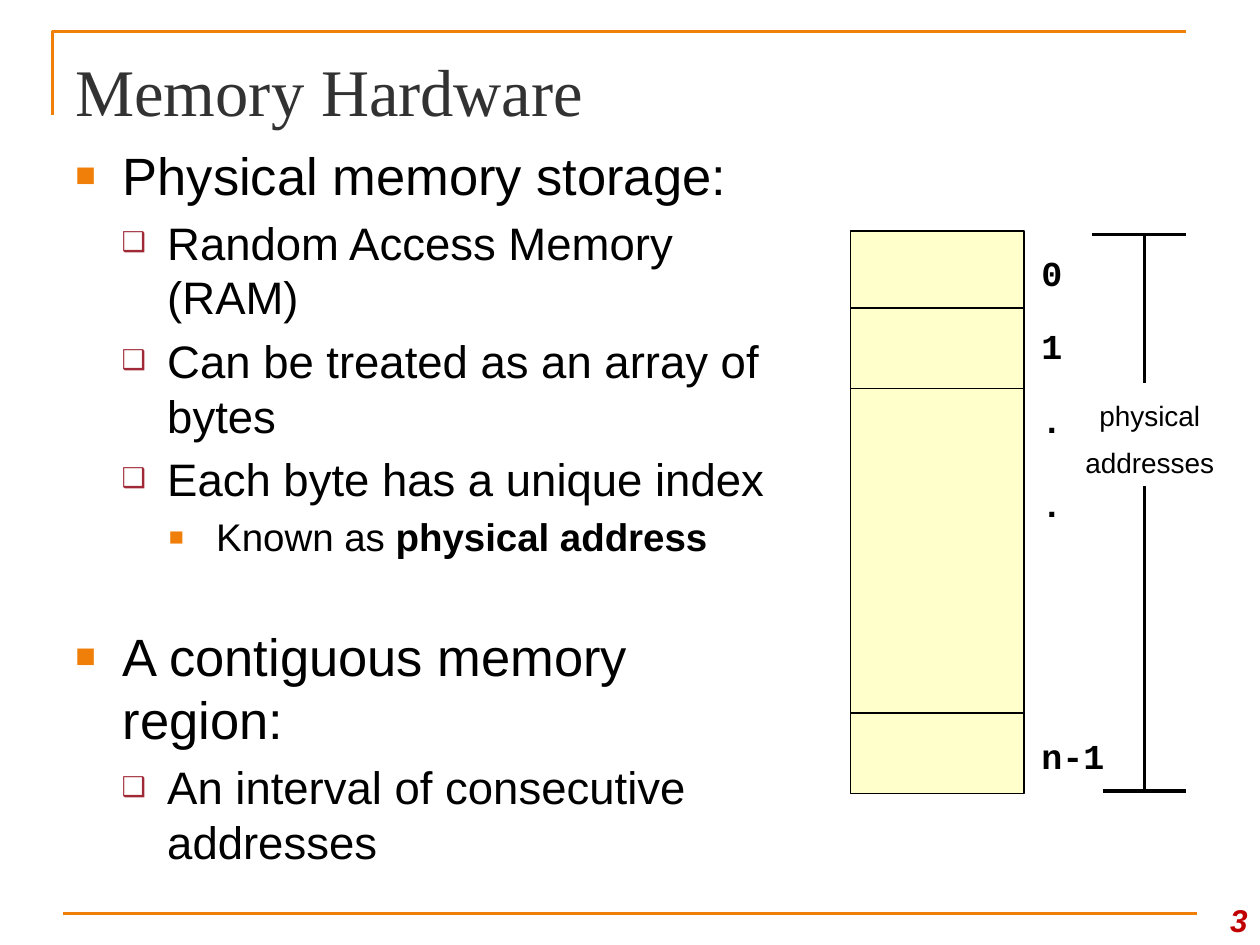
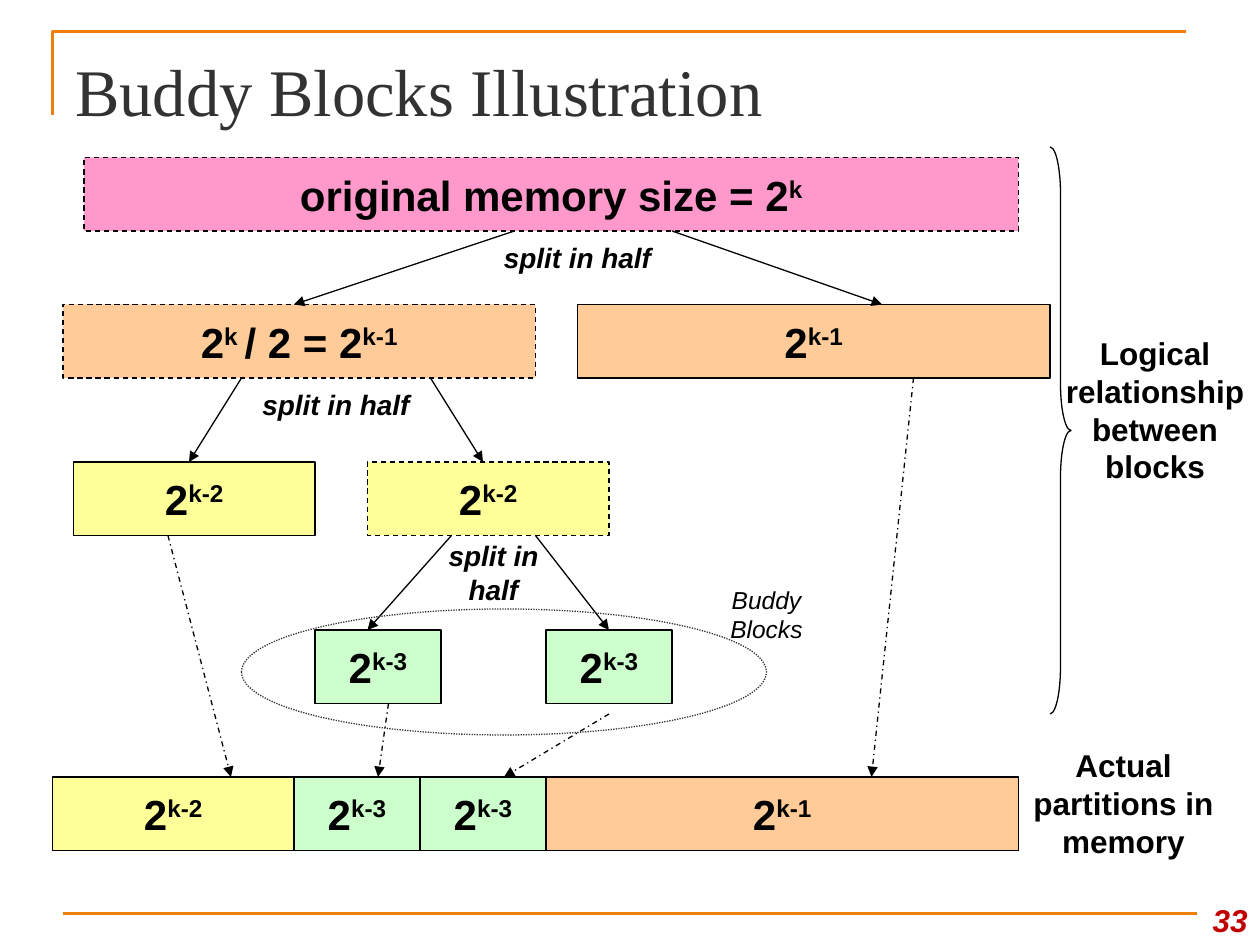
from lxml.etree import SubElement
from pptx import Presentation
from pptx.dml.color import RGBColor
from pptx.enum.dml import MSO_LINE
from pptx.enum.shapes import MSO_CONNECTOR, MSO_SHAPE
from pptx.enum.text import MSO_ANCHOR, PP_ALIGN
from pptx.oxml.ns import qn
from pptx.util import Pt

BLACK, GREY, ORANGE, RED, WINE = "000000", "323232", "F07F09", "C00000", "9F2936"
PINK, PEACH, YELLOW, GREEN, CREAM = "FF99CC", "FFCC99", "FFFF99", "CCFFCC", "FFFFCC"
SUP, BOLD = {"baseline": "30000"}, {"b": "1"}
MID = {"vertical_anchor": MSO_ANCHOR.MIDDLE}
END = {"vertical_anchor": MSO_ANCHOR.BOTTOM}
TITLE = {"name": "Times New Roman", "size": Pt(38)}
NUMBER = {"name": "Arial", "size": Pt(18), "bold": True, "italic": True}
CODE = {"name": "Courier New", "size": Pt(20), "bold": True}
PLAIN = {"name": "Arial", "size": Pt(16)}
BLOCK = {"name": "Arial", "size": Pt(24), "bold": True}
SIDE = {"name": "Arial", "size": Pt(18), "bold": True}
SPLIT = {"name": "Arial", "size": Pt(16), "bold": True, "italic": True}
BUDDY = {"name": "Arial", "size": Pt(14), "italic": True}

# per level: text size, left margin, hang, bullet, bullet colour, bullet percent
LEVELS = [
    (30, 27, 27, "■", ORANGE, 65),
    (26, 52.5, 26, "❑", WINE, 60),
    (22, 80.5, 27, "■", ORANGE, 65),
]


def tint(code):
    return RGBColor.from_string(code)


def put(item, vals):
    for key, val in vals.items():
        setattr(item, key, val)


def pts(*nums):
    return [Pt(n) for n in nums]


def write(para, words, look, color=BLACK, odd=SUP):
    """Add runs; every second piece between ^ marks takes the odd attributes."""
    for i, piece in enumerate(words.split("^")):
        run = para.add_run()
        run.text = piece
        put(run.font, look)
        run.font.color.rgb = tint(color)
        if i % 2:
            for key, val in odd.items():
                run._r.get_or_add_rPr().set(key, val)


def label(slide, box, words, look, color=BLACK, align=PP_ALIGN.CENTER, frame=MID, gap=0):
    text = slide.shapes.add_textbox(*pts(*box)).text_frame
    put(text, {"word_wrap": True, **frame})
    for i, line in enumerate(words.split("\n")):
        para = text.add_paragraph() if i else text.paragraphs[0]
        para.alignment = align
        if i:
            para.space_before = Pt(gap)
        write(para, line, look, color)


def stroke(item, color, width, dash=None):
    item.line.color.rgb = tint(color)
    put(item.line, {"width": Pt(width), "dash_style": dash})


def form(slide, kind, box, fill=None, color=BLACK, width=0.75, dash=None):
    shape = slide.shapes.add_shape(kind, *pts(*box))
    shape.shadow.inherit = False
    if fill:
        shape.fill.solid()
        shape.fill.fore_color.rgb = tint(fill)
    else:
        shape.fill.background()
    stroke(shape, color, width, dash)
    return shape


def block(slide, box, words, fill, dash=None):
    shape = form(slide, MSO_SHAPE.RECTANGLE, box, fill, dash=dash)
    put(shape.text_frame, {"word_wrap": False, **MID})
    para = shape.text_frame.paragraphs[0]
    para.alignment = PP_ALIGN.CENTER
    write(para, words, BLOCK)
    return shape


def line(slide, ends, color=BLACK, width=0.75, dash=None, arrow=False):
    link = slide.shapes.add_connector(MSO_CONNECTOR.STRAIGHT, *pts(*ends))
    stroke(link, color, width, dash)
    if arrow:
        SubElement(link.line._get_or_add_ln(), qn("a:tailEnd"), type="triangle")
    SubElement(link._element.spPr, qn("a:effectLst"))
    return link


def base(deck, title, number):
    """Add a slide with its corner rule, footer rule, number and title."""
    slide = deck.slides.add_slide(deck.slide_layouts[6])
    pen = slide.shapes.build_freeform(*pts(30, 66))
    pen.add_line_segments([pts(30, 18), pts(678, 18)], close=False)
    corner = pen.convert_to_shape()
    corner.shadow.inherit = False
    corner.fill.background()
    stroke(corner, ORANGE, 1.5)
    line(slide, (36, 522, 684, 522), ORANGE, 1.5)
    label(slide, (678, 504, 42, 36), number, NUMBER, RED, PP_ALIGN.RIGHT, END)
    label(slide, (36, 21.6, 648, 56.2), title, TITLE, GREY, PP_ALIGN.LEFT, END)
    return slide


def outline(slide, box, items):
    """Write (level, words, extra space before) items as a bulleted list."""
    text = slide.shapes.add_textbox(*pts(*box)).text_frame
    text.word_wrap = True
    for i, (level, words, extra) in enumerate(items):
        size, left, hang, mark, color, share = LEVELS[level]
        para = text.add_paragraph() if i else text.paragraphs[0]
        para.level = level
        props = para._p.get_or_add_pPr()
        props.set("marL", str(Pt(left)))
        props.set("indent", str(-Pt(hang)))
        SubElement(SubElement(props, qn("a:buClr")), qn("a:srgbClr"), val=color)
        SubElement(props, qn("a:buSzPct"), val=str(share * 1000))
        SubElement(props, qn("a:buFont"), typeface="Arial")
        SubElement(props, qn("a:buChar"), char=mark)
        if i:
            para.space_before = Pt(size * 0.2 + extra)
        write(para, words, {"name": "Arial", "size": Pt(size)}, odd=BOLD)


def memory(slide, box):
    """Draw the byte cells, their indexes and the address span."""
    x, y, wide, high = box
    edges = [0, 44, 90, 275.5, high]
    for top, end in zip(edges, edges[1:]):
        form(slide, MSO_SHAPE.RECTANGLE, (x, y + top, wide, end - top), CREAM, width=1)
    for top, index in [(8, "0"), (50, "1"), (92, "."), (140, "."), (284, "n-1")]:
        label(slide, (x + 102, y + top, 60, 32), index, CODE, align=PP_ALIGN.LEFT, frame={})
    label(slide, (x + 126, y + 92, 90, 56), "physical\naddresses", PLAIN, frame={}, gap=8)
    mid, top, end = x + 168, y + 2, y + high - 1.5
    for ends in [
        (x + 138, top, x + 192, top),
        (x + 144, end, x + 192, end),
        (mid, top, mid, y + 87),
        (mid, y + 146, mid, end),
    ]:
        line(slide, ends, width=2.25)


def tree(slide, box):
    """Draw the splits from the whole memory down to the buddy blocks."""
    x, y, _, tall = box
    dash = MSO_LINE.DASH
    for left, top, wide, words, fill, edge in [
        (18, 0, 534, "original memory size = 2^k", PINK, dash),
        (6, 84, 270, "2^k ^/ 2 = 2^k-1", PEACH, dash),
        (300, 84, 270, "2^k-1", PEACH, None),
        (12, 174, 138, "2^k-2", YELLOW, None),
        (180, 174, 138, "2^k-2", YELLOW, dash),
        (150, 270, 72, "2^k-3", GREEN, None),
        (282, 270, 72, "2^k-3", GREEN, None),
    ]:
        last = block(slide, (x + left, y + top, wide, 42), words, fill, edge)
    for x1, y1, x2, y2 in [
        (264, 42, 138, 84),
        (354, 42, 474, 84),
        (108, 126, 78, 174),
        (216, 126, 246, 174),
        (228, 216, 180, 270),
        (276, 216, 318, 270),
    ]:
        link = line(slide, (x + x1, y + y1, x + x2, y + y2), arrow=True)
    link.end_connect(last, 0)
    for x1, y1, x2 in [(66, 216, 102), (192, 312, 186), (318, 318, 258), (492, 126, 468)]:
        ends = (x + x1, y + y1, x + x2, y + tall)
        line(slide, ends, dash=MSO_LINE.DASH_DOT, arrow=True)
    for left, top, wide in [(240, 36, 120), (102, 120, 120), (204, 216, 96)]:
        label(slide, (x + left, y + top, wide, 42), "split in half", SPLIT)
    ring = (x + 108, y + 258, 300, 72)
    form(slide, MSO_SHAPE.OVAL, ring, color=GREY, dash=MSO_LINE.ROUND_DOT)
    label(slide, (x + 360, y + 234, 96, 54), "Buddy Blocks", BUDDY)


def row(slide, box):
    """Draw the partitions side by side, with their caption at the right."""
    x, y, wide, high = box
    left = x
    for part, words, fill in [
        (138, "2^k-2", YELLOW),
        (72, "2^k-3", GREEN),
        (72, "2^k-3", GREEN),
        (270, "2^k-1", PEACH),
    ]:
        block(slide, (left, y, part, high), words, fill)
        left += part
    label(slide, (x + wide, y - 18, 120, 66), "Actual partitions in memory", SIDE)


def brace(slide, box):
    x, y, _, _ = box
    form(slide, MSO_SHAPE.RIGHT_BRACE, box).adjustments[0] = 2.25
    label(slide, (x, y + 90, 120, 120), "Logical relationship between blocks", SIDE)


def main():
    deck = Presentation()
    put(deck, {"slide_width": Pt(720), "slide_height": Pt(540)})

    slide = base(deck, "Memory Hardware", "3")
    outline(slide, (36, 78, 426, 432), [
        (0, "Physical memory storage:", 0),
        (1, "Random Access Memory (RAM)", 0),
        (1, "Can be treated as an array of bytes", 0),
        (1, "Each byte has a unique index", 0),
        (2, "Known as ^physical address", 0),
        (0, "A contiguous memory region:", 31),
        (1, "An interval of consecutive addresses", 0),
    ])
    memory(slide, (486, 132, 99, 321.5))

    slide = base(deck, "Buddy Blocks Illustration", "33")
    tree(slide, (30, 90, 570, 354))
    row(slide, (30, 444, 552, 42))
    brace(slide, (600, 84, 12, 324))
    deck.save("out.pptx")


if __name__ == "__main__":
    main()
